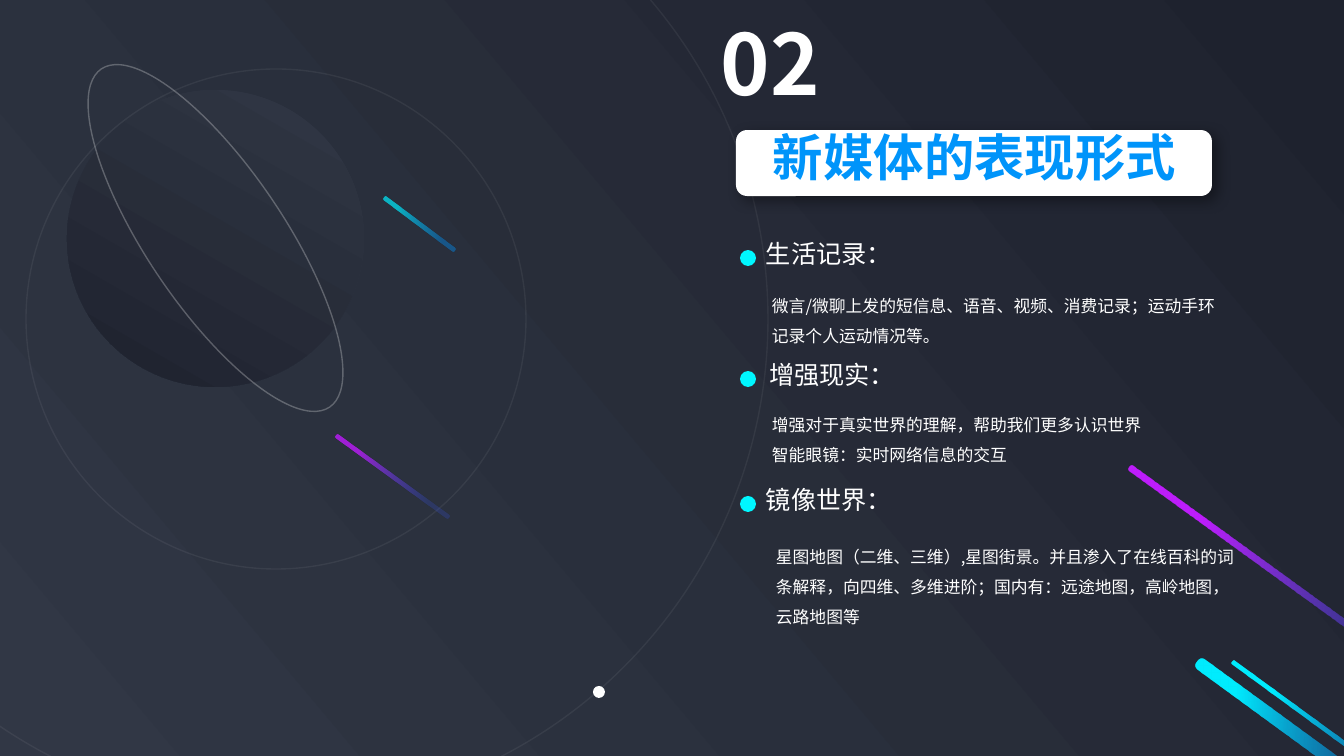
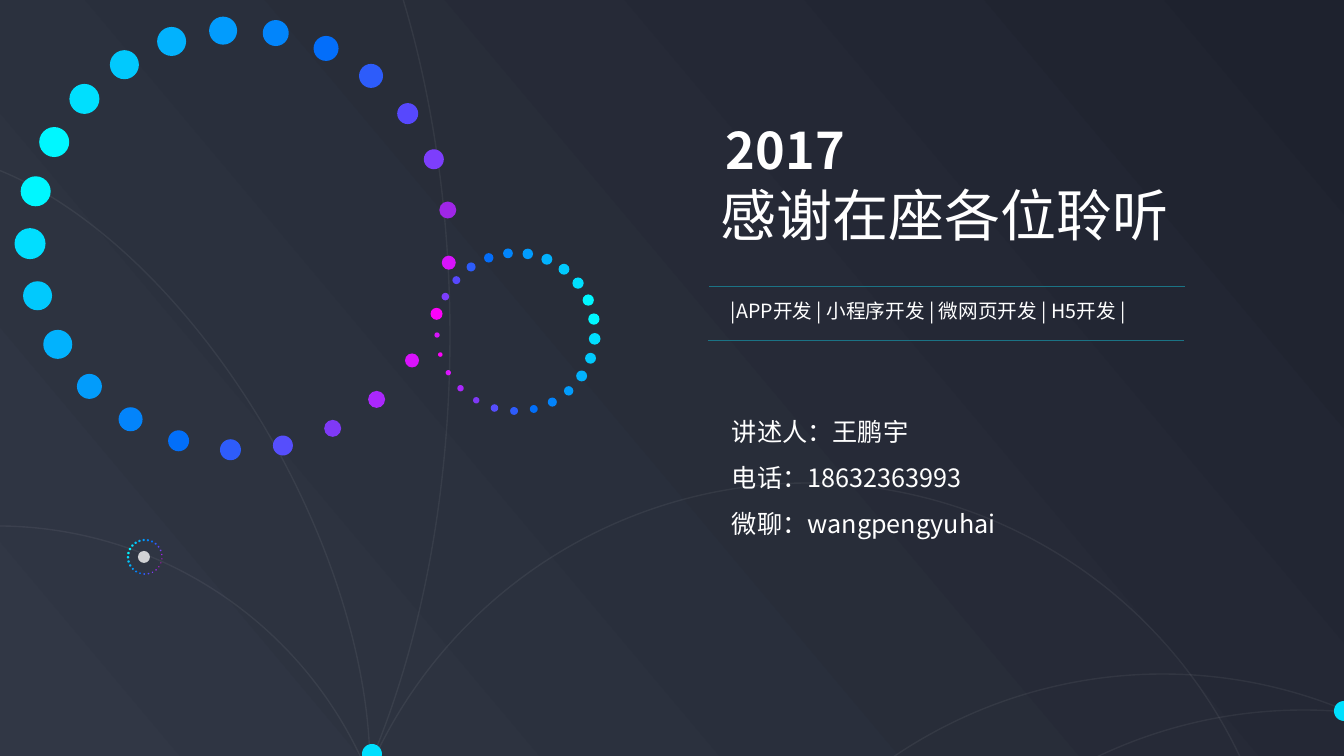
import math

import pptx
import pptx.dml.color
import pptx.enum.shapes
import pptx.enum.text
import pptx.oxml.ns
import pptx.oxml.xmlchemy
import pptx.util
from lxml import etree

RGB = pptx.dml.color.RGBColor
SHAPE = pptx.enum.shapes.MSO_SHAPE
qn = pptx.oxml.ns.qn

EMU_PER_PX = 12192000 / 1344
FONT = "Noto Sans CJK SC"

WHITE = RGB(0xFF, 0xFF, 0xFF)
BLACK = RGB(0x00, 0x00, 0x00)
SLATE = RGB(0x31, 0x37, 0x45)
NIGHT = RGB(0x1E, 0x22, 0x2E)
AQUA = RGB(0x00, 0xF7, 0xFF)
CYAN = RGB(0x00, 0xEC, 0xFE)
SKY = RGB(0x00, 0xDF, 0xFE)
BLUE = RGB(0x00, 0x94, 0xFA)
INDIGO = RGB(0x35, 0x58, 0xFB)
PURPLE = RGB(0xBE, 0x1D, 0xFB)
TEAL = RGB(0x1B, 0x73, 0x85)
PEARL = RGB(0xFA, 0xFA, 0xFA)

RING_COLORS = [RGB.from_string(code) for code in (
    "01DEFF 00F7FF 00F7FF 00DFFE 01C9FD 02B2FD 029CFD 0285FB 036EFA "
    "2D5CFA 5748FD 7D3EFC 9F26E7 D813FB FC02F9 D912FC AA27FB 7F39F6 "
    "564EFC 2E5CFB 026FF9 0384FB 029CFB 02B2FD 01C9FD").split()]
RING_SIZES = [31, 30, 30, 30, 29, 29, 28, 26, 25, 24, 21, 20, 17,
              14, 12, 14, 17, 17, 20, 21, 21, 24, 25, 29, 29]
RING_RADIUS = 210  # the radius for which RING_SIZES holds


def px(length):
    return pptx.util.Emu(round(length * EMU_PER_PX))


def place(item, x, y, width, height):
    item.left, item.top = px(x), px(y)
    item.width, item.height = px(width), px(height)


def set_alpha(shape, *percents):
    """Give the shape's colours, in order, their opacity."""
    colors = shape._element.spPr.iter(qn("a:srgbClr"))
    for color, percent in zip(list(colors), percents):
        etree.SubElement(color, qn("a:alpha"), val=str(percent * 1000))


def set_gradient(fill, angle, start, end, positions=(0, 1)):
    """Angle is in degrees, clockwise from left-to-right."""
    fill.gradient()
    fill.gradient_angle = 360 - angle
    for stop, color, position in zip(fill.gradient_stops, (start, end), positions):
        stop.color.rgb = color
        stop.position = position


def add_shape(page, kind, x, y, width, height, color=None):
    shape = page.shapes.add_shape(kind, px(x), px(y), px(width), px(height))
    shape.shadow.inherit = False
    shape.line.fill.background()
    if color is None:
        shape.fill.background()
    else:
        shape.fill.solid()
        shape.fill.fore_color.rgb = color
    return shape


def add_dot(page, center_x, center_y, size, color):
    return add_shape(page, SHAPE.OVAL, center_x - size / 2, center_y - size / 2,
                     size, size, color)


def add_orbit(page, x, y, width, height, rotation=0, alpha=5):
    orbit = add_shape(page, SHAPE.OVAL, x, y, width, height)
    orbit.rotation = rotation
    orbit.line.color.rgb = WHITE
    orbit.line.width = pptx.util.Pt(1)
    set_alpha(orbit, alpha)


def add_streak(page, x, y, width, height, start, end, alphas):
    """A slanted bar that fades from its upper left end."""
    streak = add_shape(page, SHAPE.ROUNDED_RECTANGLE, x, y, width, height)
    streak.adjustments[0] = 0.42
    streak.rotation = 306
    set_gradient(streak.fill, 60, start, end, (0.2, 0.8))
    set_alpha(streak, *alphas)


def add_dot_ring(page, center_x, center_y, radius, first_angle, turn=1):
    """A closed ring of dots; turn is 1 for clockwise, -1 for the reverse."""
    scale = radius / RING_RADIUS
    step = 360 / len(RING_COLORS)
    for index, (color, size) in enumerate(zip(RING_COLORS, RING_SIZES)):
        angle = math.radians(first_angle + turn * index * step)
        add_dot(page, center_x + radius * math.cos(angle),
                center_y + radius * math.sin(angle), size * scale, color)


def write(frame, text, size, color=WHITE, bold=False, leading=None, wrap=False):
    frame.text = text
    frame.word_wrap = wrap
    frame.auto_size = pptx.enum.text.MSO_AUTO_SIZE.NONE
    frame.vertical_anchor = pptx.enum.text.MSO_ANCHOR.TOP
    frame.margin_left = frame.margin_right = 0
    frame.margin_top = frame.margin_bottom = 0
    for para in frame.paragraphs:
        para.alignment = pptx.enum.text.PP_ALIGN.LEFT
        if leading:
            para.line_spacing = pptx.util.Pt(leading)
        for span in para.runs:
            span.font.name = FONT
            span.font.size = pptx.util.Pt(size)
            span.font.bold = bold
            span.font.color.rgb = color
            etree.SubElement(span._r.get_or_add_rPr(), qn("a:ea"), typeface=FONT)


def add_text(page, x, y, width, height, text, size, **style):
    box = page.shapes.add_textbox(px(x), px(y), px(width), px(height))
    write(box.text_frame, text, size, **style)


def set_title(page, x, y, width, height, text, size, **style):
    """Fill the title placeholder and bring it to the front."""
    title = page.shapes.title
    place(title, x, y, width, height)
    write(title.text_frame, text, size, **style)
    title._element.getparent().append(title._element)


def add_title_card(page, x, y, width, height):
    card = add_shape(page, SHAPE.ROUNDED_RECTANGLE, x, y, width, height, WHITE)
    effects = card._element.spPr.find(qn("a:effectLst"))
    shadow = etree.SubElement(
        effects, qn("a:outerShdw"), blurRad=str(pptx.util.Pt(10)),
        dist=str(pptx.util.Pt(5)), dir="2700000", algn="tl", rotWithShape="0")
    color = etree.SubElement(shadow, qn("a:srgbClr"), val=str(BLACK))
    etree.SubElement(color, qn("a:alpha"), val="40000")


def add_rule(page, x, y, length):
    rule = page.shapes.add_connector(pptx.enum.shapes.MSO_CONNECTOR.STRAIGHT,
                                     px(x), px(y), px(x + length), px(y))
    rule.line.color.rgb = TEAL
    rule.line.width = pptx.util.Pt(0.5)
    etree.SubElement(rule._element.spPr, qn("a:effectLst"))


def add_topic(page, center_y, heading, heading_x, body, body_x, body_y):
    add_dot(page, 748, center_y, 16, AQUA)
    add_text(page, heading_x, center_y - 20, 400, 37, heading, 18)
    add_text(page, body_x, body_y, 459, 92, body, 12, leading=21.5, wrap=True)


def build_forms_page(page):
    planet = add_shape(page, SHAPE.OVAL, 67, 90, 297, 297)
    set_gradient(planet.fill, 120, SLATE, NIGHT)
    add_orbit(page, 147, 34, 137, 408, rotation=326, alpha=25)
    add_orbit(page, 26, 69, 500, 500)
    add_orbit(page, -216, -173, 984, 984)

    add_streak(page, 1310, 373, 7, 455, PURPLE, INDIGO, (100, 20))
    add_streak(page, 1333, 609, 5, 256, CYAN, BLUE, (100, 40))
    add_streak(page, 1294, 609, 13, 256, CYAN, BLUE, (100, 40))
    add_streak(page, 390, 407, 5, 139, PURPLE, INDIGO, (80, 20))
    add_streak(page, 417, 180, 5, 88, CYAN, BLUE, (70, 40))
    add_dot(page, 599, 692, 12, WHITE)

    add_text(page, 721, 12, 130, 122, "02", 60, bold=True)
    add_title_card(page, 736, 130, 476, 66)
    set_title(page, 773, 126, 420, 73, "新媒体的表现形式", 36, color=BLUE, bold=True)

    add_topic(page, 258, "生活记录：", 766,
              "微言/微聊上发的短信息、语音、视频、消费记录；运动手环\n"
              "记录个人运动情况等。", 772, 286)
    add_topic(page, 379, "增强现实：", 769,
              "增强对于真实世界的理解，帮助我们更多认识世界\n"
              "智能眼镜：实时网络信息的交互", 772, 405)
    add_topic(page, 504, "镜像世界：", 766,
              "星图地图（二维、三维）,星图街景。并且渗入了在线百科的"
              "词条解释，向四维、多维进阶；国内有：远途地图，高岭地图，"
              "云路地图等", 776, 537)


def build_closing_page(page):
    add_dot_ring(page, 516, 332, 79, first_angle=5, turn=-1)

    add_orbit(page, -406, 526, 805, 805)
    add_orbit(page, -167, 113, 473, 899, rotation=331)
    add_orbit(page, -255, -339, 705, 1349)
    for x, y in ((329, 483), (684, 674), (825, 710)):
        add_orbit(page, x, y, 957, 957)

    add_dot_ring(page, 240, 240, 210, first_angle=179)
    add_dot(page, 372, 754, 20, SKY)
    add_dot(page, 1344, 711, 20, SKY)
    set_alpha(add_dot(page, 144, 557, 12, PEARL), 80)
    add_dot_ring(page, 145, 557, 17, first_angle=179)

    set_title(page, 721, 181, 460, 82, "感谢在座各位聆听", 40)
    add_text(page, 726, 119, 130, 73, "2017", 36, bold=True)
    add_rule(page, 709, 286, 476)
    add_rule(page, 708, 340, 476)
    add_text(page, 731, 299, 440, 29,
             "|APP开发 | 小程序开发 | 微网页开发 | H5开发 |", 14)
    add_text(page, 732, 400, 410, 140,
             "讲述人：王鹏宇\n电话：18632363993\n微聊：wangpengyuhai", 18, leading=33)


def main():
    deck = pptx.Presentation()
    deck.slide_width, deck.slide_height = px(1344), px(756)
    set_gradient(deck.slide_master.background.fill, 320, SLATE, NIGHT)
    title_only = deck.slide_layouts[5]
    for build in (build_forms_page, build_closing_page):
        build(deck.slides.add_slide(title_only))
    deck.save("out.pptx")


if __name__ == "__main__":
    main()
